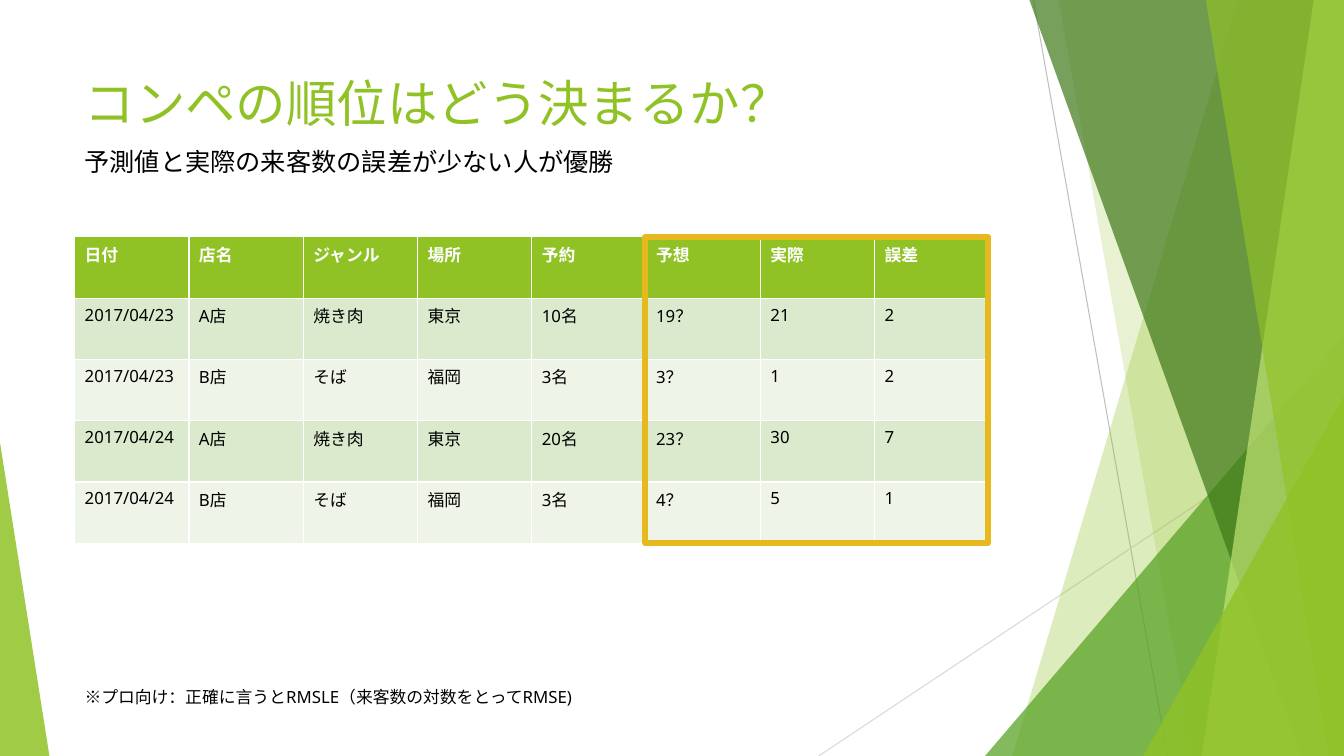
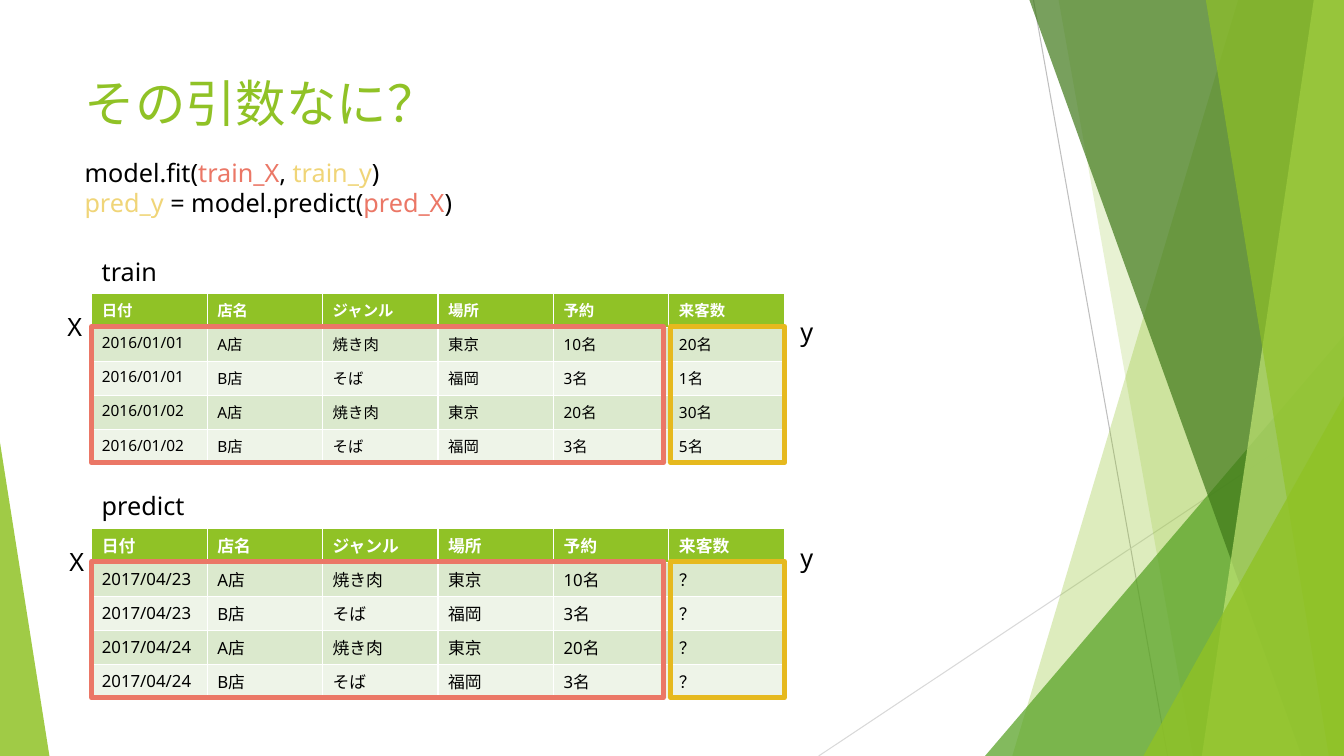
from pptx import Presentation
from pptx.dml.color import RGBColor
from pptx.enum.shapes import MSO_CONNECTOR, MSO_SHAPE
from pptx.enum.text import MSO_ANCHOR, MSO_AUTO_SIZE, PP_ALIGN
from pptx.oxml.ns import qn
from pptx.util import Inches, Pt
from lxml import etree

rgb = RGBColor.from_string
FONT = "Noto Sans"
GREEN, BLACK, WHITE = "90C226", "000000", "FFFFFF"
GOLD, PALE_GOLD, CORAL = "E6B91E", "F0D578", "EB7766"
BANDS = ["DBE9CD", "EEF4E8"]
W, H = 13.33, 7.5


def add_text(s, x, y, w, h, lines, size=18):
    """Each line is a list of (text, colour) runs."""
    tf = s.shapes.add_textbox(Inches(x), Inches(y), Inches(w), Inches(h)).text_frame
    tf.word_wrap = True
    tf.auto_size = MSO_AUTO_SIZE.SHAPE_TO_FIT_TEXT
    for i, runs in enumerate(lines):
        p = tf.add_paragraph() if i else tf.paragraphs[0]
        p.font.size, p.font.name = Pt(size), FONT
        for text, color in runs:
            r = p.add_run()
            r.text = text
            r.font.size, r.font.name = Pt(size), FONT
            r.font.color.rgb = rgb(color)


def add_grid(s, x, y, w, h, rows, size):
    """Table with a green header and two alternating row colours."""
    table = s.shapes.add_table(len(rows), len(rows[0]), Inches(x), Inches(y),
                               Inches(w), Inches(h)).table
    for i, row in enumerate(rows):
        for j, text in enumerate(row):
            cell = table.cell(i, j)
            cell.fill.solid()
            cell.fill.fore_color.rgb = rgb(BANDS[(i - 1) % 2] if i else GREEN)
            p = cell.text_frame.paragraphs[0]
            r = p.add_run()
            r.text = text
            r.font.size, r.font.name = Pt(size), FONT
            r.font.bold = i == 0
            r.font.color.rgb = rgb(BLACK if i else WHITE)


prs = Presentation()
prs.slide_width, prs.slide_height = Inches(W), Inches(H)

# Shared layout: only a title placeholder
layout = prs.slide_layouts[5]
for ph in list(layout.placeholders):
    if ph.placeholder_format.idx:
        ph.element.getparent().remove(ph.element)
    else:
        ph.left, ph.top = Inches(0.74), Inches(0.67)
        ph.width, ph.height = Inches(9.4), Inches(1.44)

# Slides and titles
for title in ["コンペの順位はどう決まるか？", "その引数なに？"]:
    s = prs.slides.add_slide(layout)
    tf = s.shapes.title.text_frame
    tf.text = title
    tf.vertical_anchor = MSO_ANCHOR.TOP
    p = tf.paragraphs[0]
    p.alignment = PP_ALIGN.LEFT
    p.font.size, p.font.name = Pt(36), FONT
    p.font.color.rgb = rgb(GREEN)
ranking, arguments = prs.slides

# Decoration: thin lines, then translucent facets
decor = []
for x1, y1, x2, y2, color in [(10.25, 0, 11.58, H, "BFBFBF"),
                              (W, 4.03, 8.12, H, "D9D9D9")]:
    line = ranking.shapes.add_connector(MSO_CONNECTOR.STRAIGHT, Inches(x1), Inches(y1),
                                        Inches(x2), Inches(y2))
    line.line.color.rgb = rgb(color)
    line.line.width = Pt(0.75)
    etree.SubElement(line.element.spPr, qn("a:effectLst"))
    decor.append(line)

# Bands: (top left x, bottom left x); triangles: (x, y, width, apex)
facets = [
    ((12.28, 10.04), GREEN, 30),
    ((10.5, 11.83), GREEN, 20),
    ((9.77, 3.33, 3.56, 1), "54A021", 72),
    ((10.21, 12.91), "3F7819", 70),
    ((13.03, 11.92), "C0E474", 70),
    ((11.96, 13.18), GREEN, 65),
    ((11.34, 3.93, 1.99, 1), GREEN, 80),
    ((0, 4.39, 0.49, 0), GREEN, 85),
]
for geometry, color, opacity in facets:
    if len(geometry) == 2:
        top_x, bottom_x = geometry
        outline = ranking.shapes.build_freeform(Inches(top_x), 0)
        outline.add_line_segments([(Inches(x), Inches(y)) for x, y in
                                   [(W, 0), (W, H), (bottom_x, H)]])
        sp = outline.convert_to_shape()
    else:
        x, y, w, apex = geometry
        sp = ranking.shapes.add_shape(MSO_SHAPE.ISOSCELES_TRIANGLE, Inches(x), Inches(y),
                                      Inches(w), Inches(H - y))
        sp.adjustments[0] = apex
    sp.shadow.inherit = False
    sp.line.fill.background()
    sp.fill.solid()
    sp.fill.fore_color.rgb = rgb(color)
    fill_color = next(sp.element.iter(qn("a:srgbClr")))
    etree.SubElement(fill_color, qn("a:alpha"), val=str(opacity * 1000))
    decor.append(sp)

# The layout carries the decoration for every slide
for sp in decor:
    layout.shapes.element.append(sp.element)

# Table contents
header = ["日付", "店名", "ジャンル", "場所", "予約"]
shops = [["A店", "焼き肉", "東京", "10名"], ["B店", "そば", "福岡", "3名"],
         ["A店", "焼き肉", "東京", "20名"], ["B店", "そば", "福岡", "3名"]]
train_dates = ["2016/01/01"] * 2 + ["2016/01/02"] * 2
predict_dates = ["2017/04/23"] * 2 + ["2017/04/24"] * 2
results = [["19？", "21", "2"], ["3？", "1", "2"], ["23？", "30", "7"], ["4？", "5", "1"]]
visitors = ["20名", "1名", "30名", "5名"]

# Slide 1: ranking by error
rows = [header + ["予想", "実際", "誤差"]]
rows += [[d] + shop + res for d, shop, res in zip(predict_dates, shops, results)]
add_grid(ranking, 0.74, 2.35, 9.07, 3.04, rows, 12)
add_text(ranking, 0.74, 1.4, 6.59, 0.4, [[("予測値と実際の来客数の誤差が少ない人が優勝", BLACK)]])
add_text(ranking, 0.74, 6.76, 7.74, 0.3,
         [[("※プロ向け：正確に言うとRMSLE（来客数の対数をとってRMSE)", BLACK)]], 12)
frames = [(ranking, 6.4, 2.35, 3.4, 3.04, GOLD)]

# Slide 2: train and predict tables with X and y marked
for name, y, dates, counts, size, x_label, y_label in [
        ("train", 2.91, train_dates, visitors, 11, (0.57, 3.04), (7.84, 3.09)),
        ("predict", 5.24, predict_dates, ["？"] * 4, 12, (0.59, 5.37), (7.84, 5.33))]:
    rows = [header + ["来客数"]]
    rows += [[d] + shop + [n] for d, shop, n in zip(dates, shops, counts)]
    add_grid(arguments, 0.91, y, 6.87, 1.69, rows, size)
    frames += [(arguments, 0.91, y + 0.33, 5.67, 1.35, CORAL),
               (arguments, 6.65, y + 0.33, 1.13, 1.35, GOLD)]
    for text, (left, top) in [(name, (0.91, y - 0.42)), ("X", x_label), ("y", y_label)]:
        add_text(arguments, left, top, 1.28, 0.4, [[(text, BLACK)]])

add_text(arguments, 0.74, 1.51, 5.4, 0.71, [
    [("model.fit(", BLACK), ("train_X", CORAL), (", ", BLACK), ("train_y", PALE_GOLD),
     (")", BLACK)],
    [("pred_y ", PALE_GOLD), ("= model.predict(", BLACK), ("pred_X", CORAL), (")", BLACK)],
])

# Highlight frames over the tables
for s, x, y, w, h, color in frames:
    sp = s.shapes.add_shape(MSO_SHAPE.RECTANGLE, Inches(x), Inches(y), Inches(w), Inches(h))
    sp.shadow.inherit = False
    sp.fill.background()
    sp.line.color.rgb = rgb(color)
    sp.line.width = Pt(4)

prs.save("out.pptx")
